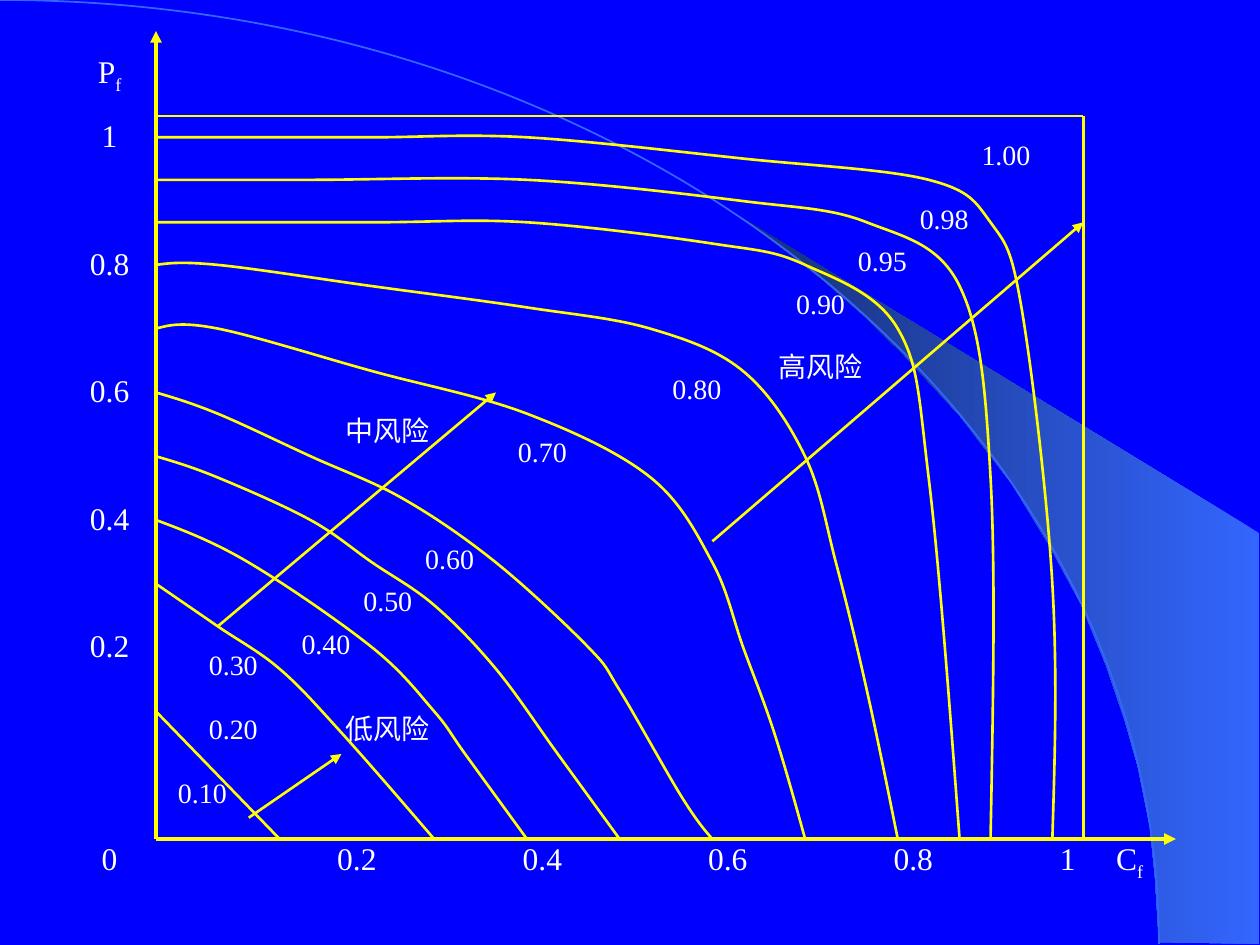
from lxml import etree
from pptx import Presentation
from pptx.dml.color import RGBColor
from pptx.enum.shapes import MSO_CONNECTOR
from pptx.enum.text import MSO_ANCHOR, PP_ALIGN
from pptx.oxml.ns import qn
from pptx.util import Pt

STRAIGHT = MSO_CONNECTOR.STRAIGHT
TOP = MSO_ANCHOR.TOP
CENTER = PP_ALIGN.CENTER
EMU_PER_PX = 914400 / 126
FONT = "Times New Roman"
COLORS = {
    "ground": "0000FF",
    "glow": "3366FF",
    "shade": "172F75",
    "line": "FFFF00",
    "text": "FFFFFF",
}

PAGE_BOX = (0, 0, 1260, 945)
CHART_BOX = (156, 31, 1020, 808)
COLUMNS, ROWS = 33, 38
LABEL_COLUMNS, LABEL_ROWS = 3, 2

WEDGE = [
    (1159, 942), (1259, 944), (1259, 533), (742, 218), (786, 251), (823, 280),
    (863, 315), (902, 353), (960, 416), (1012, 484), (1048, 543), (1081, 604),
    (1106, 665), (1125, 721), (1138, 767), (1150, 827), (1155, 877),
]
ARC = [(0, 0), (640, 0), (1159, 422), (1159, 944)]

CONTOURS = [
    [(0, 12), (2, 10), (4, 8), (6, 5), (9, 0)],
    [(0, 15), (3, 13), (7, 9), (9, 6), (10, 4), (12, 0)],
    [(0, 18), (2, 17), (5, 15), (7, 13), (9, 11), (11, 8), (13, 4), (15, 0)],
    [(0, 21), (2, 20), (5, 18), (8, 16), (11, 13), (14, 9), (15, 7), (17, 2), (18, 0)],
    [(0, 24), (2, 24), (7, 22), (12, 20), (16, 17), (18, 13), (19, 9), (20, 5), (21, 0)],
    [(0, 27), (2, 27), (7, 26), (12, 25), (16, 24), (19, 22), (21, 18), (22, 13),
     (23, 7), (24, 0)],
    [(0, 29), (7, 29), (12, 29), (18, 28), (21, 27), (24, 24), (25, 17), (26, 0)],
    [(0, 31), (5, 31), (12, 31), (19, 30), (23, 29), (26, 26), (27, 17), (27, 0)],
    [(0, 33), (3, 33), (7, 33), (12, 33), (19, 32), (25, 31), (27, 29), (28, 25),
     (29, 12), (29, 0)],
]
AXES = [((0, 0), (33, 0)), ((0, 0), (0, 38))]
EDGES = [((0, 34), (30, 34)), ((30, 34), (30, 0)), ((0, 6), (4, 0))]
RISK_ARROWS = [((18, 14), (30, 29)), ((2, 10), (11, 21)), ((3, 1), (6, 4))]

TICKS = ["0.2", "0.4", "0.6", "0.8", "1"]
TICK_COLUMNS = [5, 11, 17, 23, 28]
CONTOUR_LABELS = [
    ("0.10", 0, 3), ("0.20", 1, 6), ("0.30", 1, 9), ("0.40", 4, 10),
    ("0.50", 6, 12), ("0.60", 8, 14), ("0.70", 11, 19), ("0.80", 16, 22),
    ("0.90", 20, 26), ("0.95", 22, 28), ("0.98", 24, 30), ("1.00", 26, 33),
]
RISK_LABELS = [("中风险", 6, 20), ("高风险", 20, 23), ("低风险", 6, 6)]


def px(length):
    return round(length * EMU_PER_PX)


def color(name):
    return RGBColor.from_string(COLORS[name])


def add_text(shapes, text, box, size=16, subscript=""):
    frame = shapes.add_textbox(*map(px, box)).text_frame
    frame.word_wrap = True
    frame.vertical_anchor = TOP
    frame.margin_left = frame.margin_right = 0
    frame.margin_top = frame.margin_bottom = 0
    para = frame.paragraphs[0]
    para.alignment = CENTER
    for part in filter(None, (text, subscript)):
        span = para.add_run()
        span.text = part
        span.font.name = FONT
        span.font.size = Pt(size)
        span.font.color.rgb = color("text")
    if subscript:
        span._r.get_or_add_rPr().set("baseline", "-25000")


def add_line(shapes, start, end, width=1.5, arrow=False):
    line = shapes.add_connector(STRAIGHT, *map(px, start + end))
    line.line.color.rgb = color("line")
    line.line.width = Pt(width)
    if arrow:
        etree.SubElement(line.line._get_or_add_ln(), qn("a:tailEnd"), type="triangle")
    etree.SubElement(line._element.spPr, qn("a:effectLst"))


def add_outline(shapes, points, close):
    corners = [(px(x), px(y)) for x, y in points]
    builder = shapes.build_freeform(*corners[0])
    builder.add_line_segments(corners[1:], close=close)
    shape = builder.convert_to_shape()
    shape.shadow.inherit = False
    return shape


def add_curve(shapes, points, color_name, width):
    curve = add_outline(shapes, points, close=False)
    curve.fill.background()
    curve.line.color.rgb = color(color_name)
    curve.line.width = Pt(width)
    steps = list(curve._element.iter(qn("a:lnTo")))
    for first in range(0, len(steps), 3):
        bezier = etree.Element(qn("a:cubicBezTo"))
        steps[first].addprevious(bezier)
        for step in steps[first:first + 3]:
            bezier.append(step[0])
            step.getparent().remove(step)


def between(start, end, share):
    return tuple(a + (b - a) * share for a, b in zip(start, end))


def spline(knots):
    last = len(knots) - 1
    tangents = [
        tuple((after - before) / 6 for before, after in zip(knots[i - 1], knots[i + 1]))
        for i in range(1, last)
    ]
    points = [knots[0]]
    for i in range(last):
        start, end = knots[i], knots[i + 1]
        if i > 0:
            leave = tuple(p + t for p, t in zip(start, tangents[i - 1]))
        if i < last - 1:
            arrive = tuple(p - t for p, t in zip(end, tangents[i]))
        else:
            arrive = between(leave, end, 0.5)
        if i == 0:
            leave = between(start, arrive, 0.5)
        points += [leave, arrive, end]
    return points


def draw_backdrop(page, box):
    left, top = box[:2]
    page.background.fill.solid()
    page.background.fill.fore_color.rgb = color("ground")
    shapes = page.shapes.add_group_shape().shapes
    wedge = add_outline(shapes, [(left + x, top + y) for x, y in WEDGE], close=True)
    wedge.line.fill.background()
    wedge.fill.gradient()
    wedge.fill.gradient_angle = 180
    for stop, name in zip(wedge.fill.gradient_stops, ("glow", "shade")):
        stop.color.rgb = color(name)
    add_curve(shapes, [(left + x, top + y) for x, y in ARC], "glow", 1)


def draw_risk_chart(page, box):
    left, top, width, height = box
    column, row = width / COLUMNS, height / ROWS
    shapes = page.shapes.add_group_shape().shapes

    def place(point):
        return left + point[0] * column, top + height - point[1] * row

    def label(text, at_column, at_row, **style):
        spot = place((at_column, at_row))
        add_text(shapes, text, (*spot, LABEL_COLUMNS * column, LABEL_ROWS * row), **style)

    for start, end in AXES:
        add_line(shapes, place(start), place(end), width=2.25, arrow=True)
    for start, end in EDGES:
        add_line(shapes, place(start), place(end))
    for knots in CONTOURS:
        add_curve(shapes, spline([place(knot) for knot in knots]), "line", 1.5)
    for start, end in RISK_ARROWS:
        add_line(shapes, place(start), place(end), arrow=True)

    for index, (tick, tick_column) in enumerate(zip(TICKS, TICK_COLUMNS)):
        label(tick, -LABEL_COLUMNS, 10 + 6 * index, size=18)
        label(tick, tick_column, 0, size=18)
    label("0", -LABEL_COLUMNS, 0, size=18)
    label("P", -LABEL_COLUMNS, 37, size=18, subscript="f")
    label("C", 30, 0, size=18, subscript="f")
    for text, at_column, at_row in CONTOUR_LABELS + RISK_LABELS:
        label(text, at_column, at_row)


def main():
    deck = Presentation()
    deck.slide_width, deck.slide_height = map(px, PAGE_BOX[2:])
    page = deck.slides.add_slide(deck.slide_layouts[6])
    draw_backdrop(page, PAGE_BOX)
    draw_risk_chart(page, CHART_BOX)
    deck.save("out.pptx")


if __name__ == "__main__":
    main()
